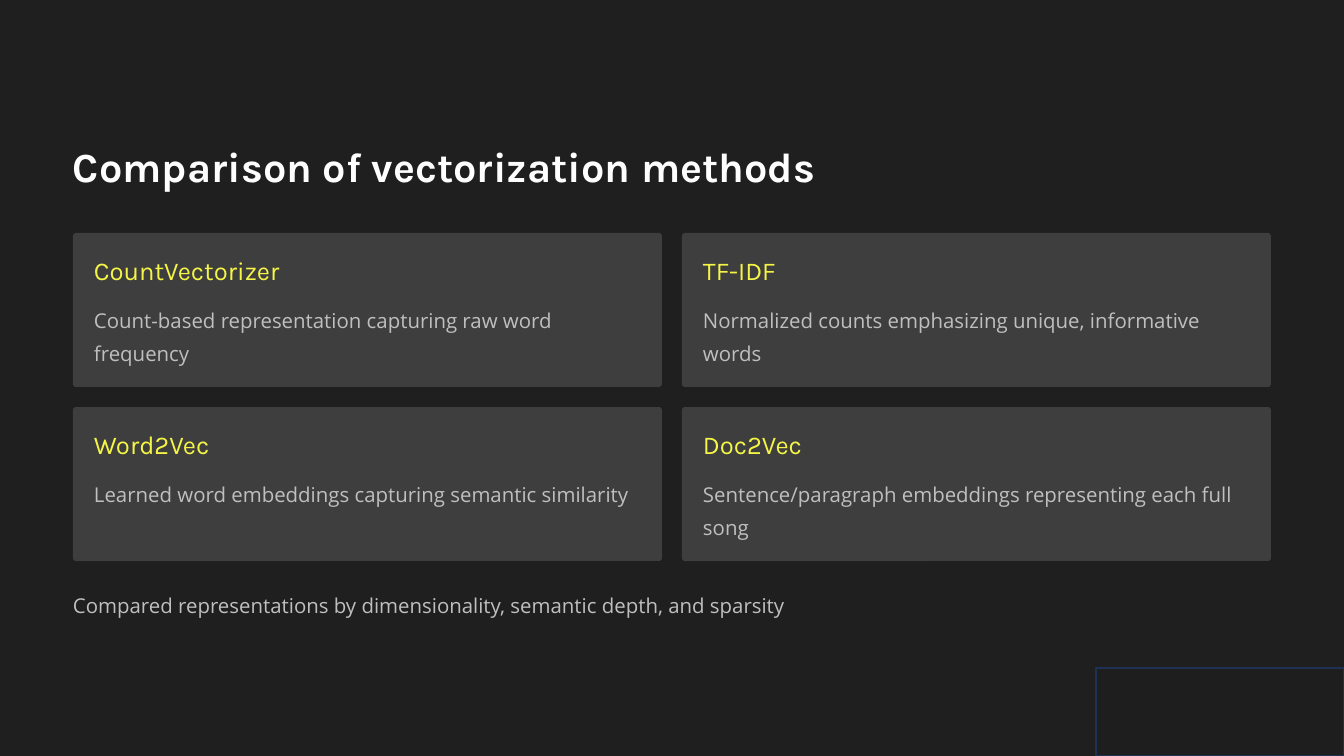
from pptx import Presentation
from pptx.dml.color import RGBColor
from pptx.enum.shapes import MSO_SHAPE
from pptx.enum.text import MSO_ANCHOR, MSO_AUTO_SIZE, PP_ALIGN
from pptx.util import Inches, Pt

PX = Inches(1) / 84
COLORS = {
    "background": "1F1F1F",
    "card": "3E3E3E",
    "title": "FEFEFE",
    "accent": "F5F547",
    "body": "BFBFBF",
    "corner": "1E1E1E",
    "corner_line": "1E3256",
}
FRAME = {
    "margin_left": 0, "margin_top": 0, "margin_right": 0, "margin_bottom": 0,
    "auto_size": MSO_AUTO_SIZE.NONE, "vertical_anchor": MSO_ANCHOR.TOP,
}
# Each style: color, line spacing, wrapping and font values
STYLES = {
    "title": ("title", 44.5, False, {"name": "Karla", "size": Pt(35.5), "bold": True}),
    "heading": ("accent", 27.5, False, {"name": "Karla", "size": Pt(22), "bold": False}),
    "body": ("body", 28.5, True, {"name": "Open Sans", "size": Pt(17.5), "bold": False}),
}
METHODS = [
    ("CountVectorizer", "Count-based representation capturing raw word frequency"),
    ("TF-IDF", "Normalized counts emphasizing unique, informative words"),
    ("Word2Vec", "Learned word embeddings capturing semantic similarity"),
    ("Doc2Vec", "Sentence/paragraph embeddings representing each full song"),
]


def set_all(target, values):
    for name, value in values.items():
        setattr(target, name, value)


def rgb(name):
    return RGBColor.from_string(COLORS[name])


def emu(*lengths):
    return [round(length * PX) for length in lengths]


def write(holder, text, style):
    color, spacing, wrap, font = STYLES[style]
    frame = holder.text_frame
    frame.text = text
    set_all(frame, FRAME | {"word_wrap": wrap})
    line = frame.paragraphs[0]
    set_all(line, {"alignment": PP_ALIGN.LEFT, "line_spacing": Pt(spacing),
                   "space_before": Pt(0)})
    set_all(line.font, font)
    line.font.color.rgb = rgb(color)


def add_text(slide, box, text, style):
    write(slide.shapes.add_textbox(*emu(*box)), text, style)


def add_panel(slide, kind, box, fill):
    panel = slide.shapes.add_shape(kind, *emu(*box))
    panel.shadow.inherit = False
    panel.fill.solid()
    panel.fill.fore_color.rgb = rgb(fill)
    panel.line.fill.background()
    return panel


def place_title(slide, box, text):
    title = slide.shapes.title
    set_all(title, dict(zip(("left", "top", "width", "height"), emu(*box))))
    write(title, text, "title")


def add_card(slide, box, heading, description):
    left, top, width, height = box
    pad = 21
    card = add_panel(slide, MSO_SHAPE.ROUNDED_RECTANGLE, box, "card")
    card.adjustments[0] = 0.02
    inner = width - 2 * pad
    add_text(slide, (left + pad, top + pad, inner, 33), heading, "heading")
    add_text(slide, (left + pad, top + 66, inner, 67), description, "body")


def add_card_grid(slide, box, methods):
    left, top, width, height = box
    gap, columns, rows = 20, 2, 2
    card_width = (width - gap) // columns
    card_height = (height - gap) // rows
    for index, (heading, description) in enumerate(methods):
        row, column = divmod(index, columns)
        card_box = (left + column * (card_width + gap),
                    top + row * (card_height + gap), card_width, card_height)
        add_card(slide, card_box, heading, description)


def add_corner(slide, box):
    corner = add_panel(slide, MSO_SHAPE.RECTANGLE, box, "corner")
    corner.line.color.rgb = rgb("corner_line")
    corner.line.width = Pt(1)


def build_comparison(slide, box):
    left, top, width, height = box
    margin = 73
    content = width - 2 * margin
    slide.background.fill.solid()
    slide.background.fill.fore_color.rgb = rgb("background")

    # Title
    place_title(slide, (left + margin, top + 139, 750, 52),
                "Comparison of vectorization methods")
    # Method cards
    add_card_grid(slide, (left + margin, top + 233, content, 328), METHODS)
    # Closing line
    add_text(slide, (left + margin, top + 584, content, 34),
             "Compared representations by dimensionality, semantic depth, and sparsity",
             "body")
    # Corner box
    add_corner(slide, (left + width - 248, top + height - 88, 248, 88))


def main():
    deck = Presentation()
    deck.slide_width, deck.slide_height = Inches(16), Inches(9)
    slide = deck.slides.add_slide(deck.slide_layouts[5])
    build_comparison(slide, (0, 0, 1344, 756))
    deck.save("out.pptx")


if __name__ == "__main__":
    main()
